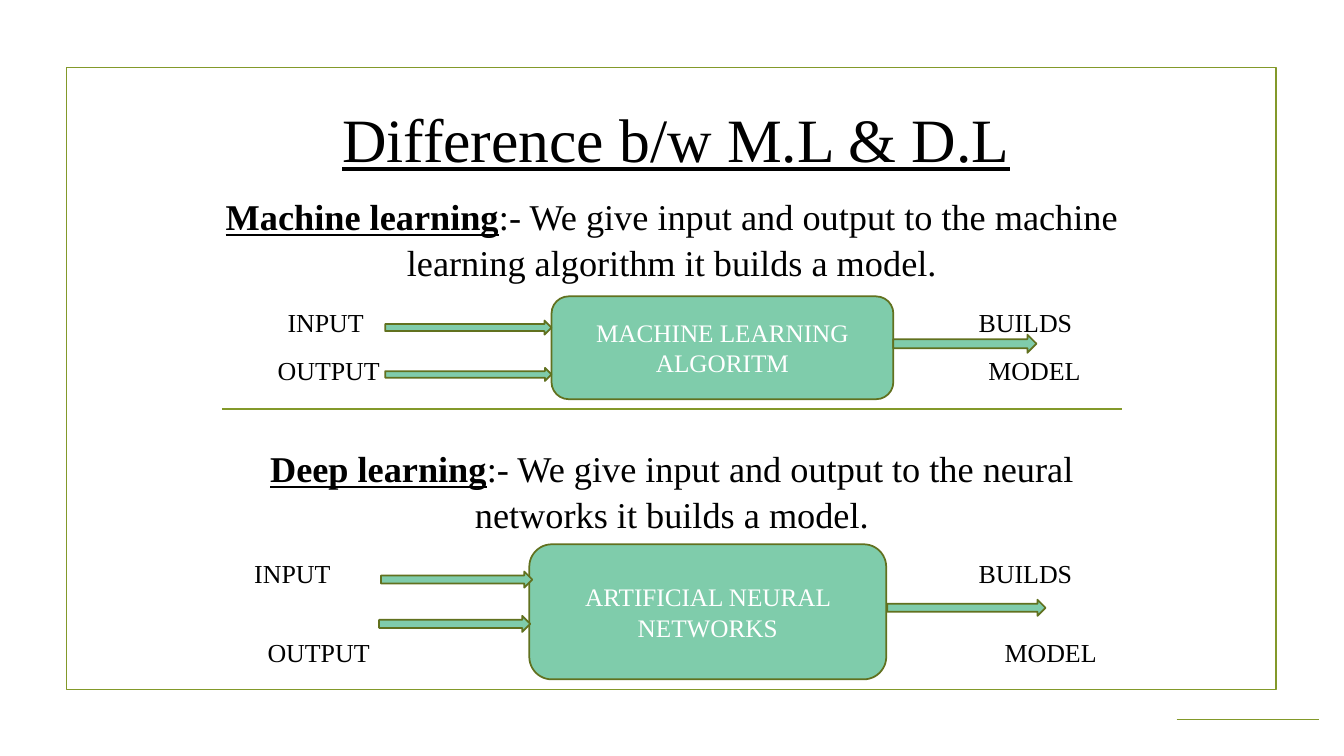
from dataclasses import dataclass

from lxml import etree
from pptx import Presentation
from pptx.dml.color import RGBColor
from pptx.enum.shapes import MSO_CONNECTOR, MSO_SHAPE
from pptx.enum.text import MSO_ANCHOR, PP_ALIGN
from pptx.oxml.ns import qn
from pptx.util import Inches, Pt

RECT = MSO_SHAPE.RECTANGLE
ROUNDED = MSO_SHAPE.ROUNDED_RECTANGLE
ARROW = MSO_SHAPE.RIGHT_ARROW
STRAIGHT = MSO_CONNECTOR.STRAIGHT
CENTER = PP_ALIGN.CENTER
TOP, MIDDLE, BOTTOM = MSO_ANCHOR.TOP, MSO_ANCHOR.MIDDLE, MSO_ANCHOR.BOTTOM


@dataclass(frozen=True)
class Theme:
    font: str = "Times New Roman"
    ink: RGBColor = RGBColor(0x00, 0x00, 0x00)
    white: RGBColor = RGBColor(0xFF, 0xFF, 0xFF)
    rule: RGBColor = RGBColor(0x83, 0x99, 0x2A)
    fill: RGBColor = RGBColor(0x7F, 0xCC, 0xAB)
    outline: RGBColor = RGBColor(0x61, 0x71, 0x1F)
    title: float = 44
    body: float = 25.9
    label: float = 18.5
    box: float = 18
    stroke: float = 1.25
    hairline: float = 0.75


class SlideBuilder:
    def __init__(self, slide, theme):
        self.slide = slide
        self.theme = theme

    def style(self, r, size, color, strong=False, underline=False):
        r.font.name = self.theme.font
        r.font.size = Pt(size)
        r.font.color.rgb = color
        r.font.bold = strong
        r.font.underline = underline

    def shape(self, kind, at, fill=None, outline=None):
        sp = self.slide.shapes.add_shape(kind, *map(Inches, at))
        sp.shadow.inherit = False
        if fill is None:
            sp.fill.background()
        else:
            sp.fill.solid()
            sp.fill.fore_color.rgb = fill
        sp.line.color.rgb = outline or self.theme.outline
        sp.line.width = Pt(self.theme.stroke)
        return sp

    def frame(self, at):
        self.shape(RECT, at, outline=self.theme.rule)

    def arrow(self, at):
        self.shape(ARROW, at, self.theme.fill)

    def box(self, at, text):
        tf = self.shape(ROUNDED, at, self.theme.fill).text_frame
        tf.word_wrap = True
        tf.vertical_anchor = MIDDLE
        p = tf.paragraphs[0]
        p.text = text
        p.alignment = CENTER
        self.style(p.runs[0], self.theme.box, self.theme.white)

    def rule(self, left, right, y, width):
        line = self.slide.shapes.add_connector(
            STRAIGHT, Inches(left), Inches(y), Inches(right), Inches(y))
        line.line.color.rgb = self.theme.rule
        line.line.width = Pt(width)
        etree.SubElement(line._element.spPr, qn("a:effectLst"))

    def text(self, at, anchor):
        tf = self.slide.shapes.add_textbox(*map(Inches, at)).text_frame
        tf.word_wrap = True
        tf.vertical_anchor = anchor
        p = tf.paragraphs[0]
        p.alignment = CENTER
        return p

    def title(self, at, text):
        p = self.text(at, BOTTOM)
        p.text = text
        self.style(p.runs[0], self.theme.title, self.theme.ink, underline=True)

    def definition(self, top, term, meaning):
        p = self.text((2.02, top, 9.29, 1), TOP)
        p.line_spacing = 1.05
        for text, is_term in ((term, True), (meaning, False)):
            r = p.add_run()
            r.text = text
            self.style(r, self.theme.body, self.theme.ink, is_term, is_term)

    def label(self, text, x, y, width=1.5, height=0.4):
        p = self.text((x - width / 2, y - height / 2, width, height), MIDDLE)
        p.text = text
        self.style(p.runs[0], self.theme.label, self.theme.ink)


LABELS = ("INPUT", "OUTPUT", "BUILDS", "MODEL")
SECTIONS = (
    {
        "top": 1.86,
        "term": "Machine learning",
        "meaning": ":- We give input and output to the machine learning "
                   "algorithm it builds a model.",
        "labels": ((3.23, 3.2), (3.26, 3.67), (10.17, 3.2), (10.26, 3.67)),
        "box": (5.47, 2.94, 3.39, 1.02),
        "engine": "MACHINE LEARNING ALGORITM",
        "arrows": ((3.82, 3.18, 1.65, 0.14), (3.82, 3.65, 1.65, 0.13),
                   (8.86, 3.32, 1.42, 0.18)),
    },
    {
        "top": 4.36,
        "term": "Deep learning",
        "meaning": ":- We give input and output to the neural networks "
                   "it builds a model.",
        "labels": ((2.9, 5.69), (3.16, 6.47), (10.17, 5.69), (10.42, 6.47)),
        "box": (5.25, 5.4, 3.54, 1.34),
        "engine": "ARTIFICIAL NEURAL NETWORKS",
        "arrows": ((3.78, 5.67, 1.5, 0.16), (3.76, 6.11, 1.5, 0.16),
                   (8.8, 5.95, 1.57, 0.16)),
    },
)


def main():
    prs = Presentation()
    prs.slide_width = Inches(13.33)
    prs.slide_height = Inches(7.5)
    theme = Theme()
    s = SlideBuilder(prs.slides.add_slide(prs.slide_layouts[6]), theme)

    s.frame((0.66, 0.67, 12, 6.17))
    s.rule(2.2, 11.13, 4.06, theme.stroke)
    s.rule(11.67, 13.08, 7.14, theme.hairline)
    s.title((1.94, 0.29, 9.53, 1.49), "Difference b/w M.L & D.L")

    for section in SECTIONS:
        s.definition(section["top"], section["term"], section["meaning"])
        for text, (x, y) in zip(LABELS, section["labels"]):
            s.label(text, x, y)
        s.box(section["box"], section["engine"])
        for at in section["arrows"]:
            s.arrow(at)

    prs.save("out.pptx")


if __name__ == "__main__":
    main()
